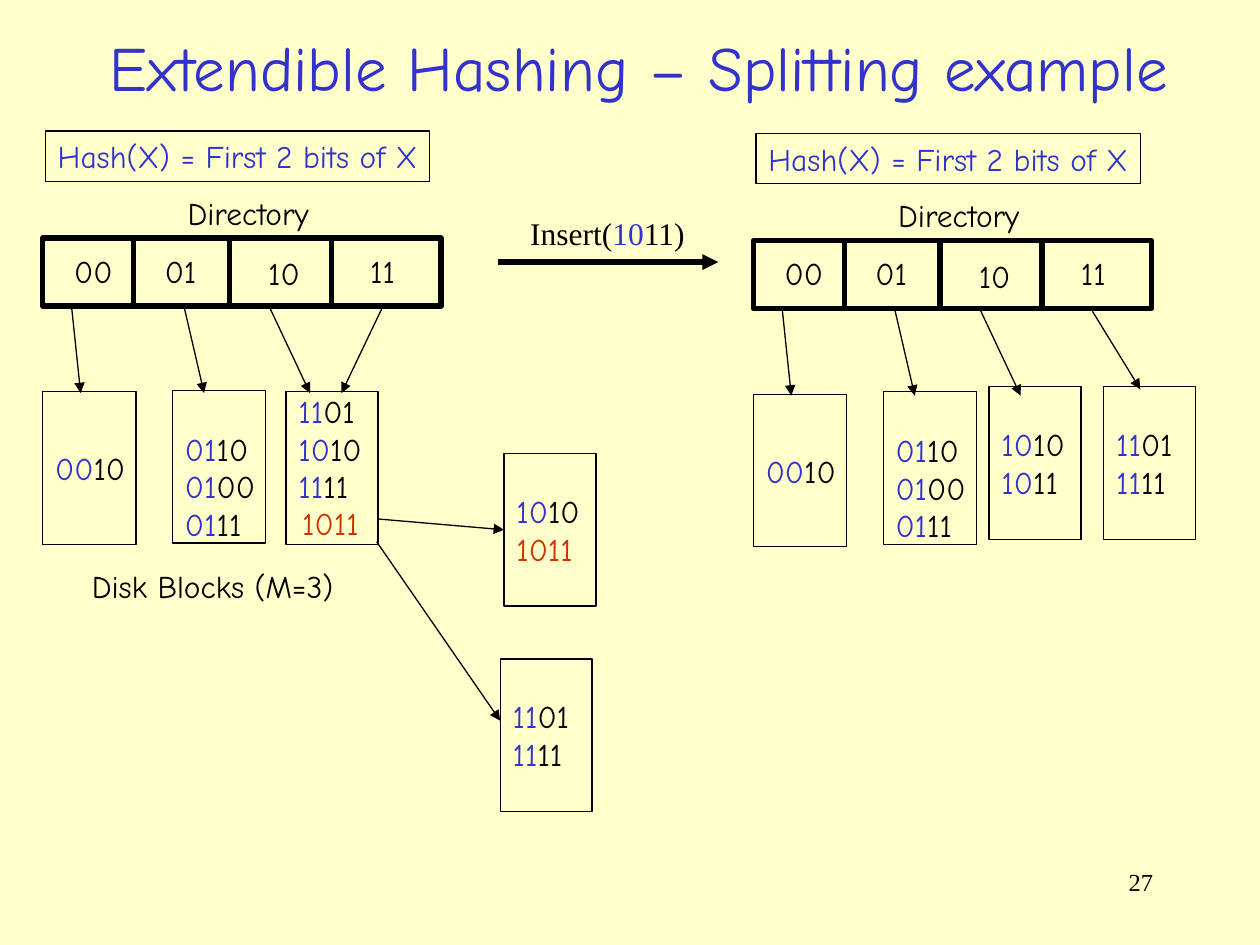
"""Build the extendible hashing slide that shows a bucket split."""
from dataclasses import dataclass

from lxml import etree
from pptx import Presentation
from pptx import util as u
from pptx.dml.color import RGBColor
from pptx.enum import shapes, text
from pptx.oxml import ns


@dataclass(frozen=True)
class Theme:
    paper: RGBColor = RGBColor(0xFF, 0xFF, 0xCC)
    ink: RGBColor = RGBColor(0, 0, 0)
    blue: RGBColor = RGBColor(0x33, 0x33, 0xCC)
    red: RGBColor = RGBColor(0xCC, 0x33, 0x00)
    hand: str = "Comic Neue"
    serif: str = "Times New Roman"
    title: int = 36
    body: int = 18
    page: int = 14
    thin: float = 0.75
    thick: float = 3


theme = Theme()
prs = Presentation()
prs.slide_width, prs.slide_height = u.Inches(10), u.Inches(7.5)
s = prs.slides.add_slide(prs.slide_layouts[6])
s.background.fill.solid()
s.background.fill.fore_color.rgb = theme.paper


def add_text(box, lines, border=0, size=theme.body, font=theme.hand,
             align=text.PP_ALIGN.LEFT, anchor=text.MSO_ANCHOR.TOP, wrap=False):
    """Add a text box, or a bordered rectangle, with lines of (text, colour) runs."""
    area = [u.Inches(v) for v in box]
    if border:
        sp = s.shapes.add_shape(shapes.MSO_SHAPE.RECTANGLE, *area)
        sp.shadow.inherit = False
        sp.fill.background()
        sp.line.color.rgb = theme.ink
        sp.line.width = u.Pt(border)
    else:
        sp = s.shapes.add_textbox(*area)
    tf = sp.text_frame
    tf.word_wrap = wrap
    tf.vertical_anchor = anchor
    for i, line in enumerate(lines):
        p = tf.paragraphs[0] if i == 0 else tf.add_paragraph()
        p.alignment = align
        p.font.name, p.font.size = font, u.Pt(size)
        for words, color in line:
            r = p.add_run()
            r.text = words
            r.font.color.rgb = color
    return sp


def add_line(start, end, width=theme.thin, arrow=True):
    """Add a straight line, with an arrowhead at its end unless told otherwise."""
    c = s.shapes.add_connector(shapes.MSO_CONNECTOR.STRAIGHT,
                               *[u.Inches(v) for v in (*start, *end)])
    c.line.color.rgb = theme.ink
    c.line.width = u.Pt(width)
    if arrow:
        etree.SubElement(c.line._get_or_add_ln(), ns.qn("a:tailEnd"), type="triangle")
    etree.SubElement(c._element.spPr, ns.qn("a:effectLst"))
    return c


add_text((0.3, 0.15, 9.54, 0.76), [[("Extendible Hashing – Splitting example", theme.blue)]],
         size=theme.title, align=text.PP_ALIGN.CENTER,
         anchor=text.MSO_ANCHOR.MIDDLE, wrap=True)
add_text((7.17, 6.83, 2.08, 0.5), [[("27", theme.ink)]], size=theme.page,
         font=theme.serif, align=text.PP_ALIGN.RIGHT, wrap=True)

for dx, dy in ((0, 0), (5.64, 0.02)):
    add_text((0.36 + dx, 1.04 + dy, 3.05, 0.4),
             [[("Hash(X) = First 2 bits of X", theme.blue)]], border=theme.thin)
    add_text((1.39 + dx, 1.49 + dy, 1.17, 0.4), [[("Directory", theme.ink)]])
    add_text((0.34 + dx, 1.89 + dy, 3.16, 0.54), [], border=theme.thick)
    for x, top, bottom in ((1.06, 1.89, 2.45), (1.82, 1.89, 2.45), (2.63, 1.91, 2.43)):
        add_line((x + dx, top + dy), (x + dx, bottom + dy), theme.thick, arrow=False)
    for key, x, y in (("00", 0.49, 1.95), ("01", 1.21, 1.95),
                      ("10", 2.03, 1.97), ("11", 2.84, 1.95)):
        sp = add_text((x + dx, y + dy, 0.5, 0.4), [[(key, theme.ink)]])
        sp.text_frame.margin_right = 0
    for x1, y1, x2 in ((0.57, 2.45, 0.64), (1.46, 2.43, 1.62), (2.14, 2.44, 2.46)):
        add_line((x1 + dx, y1 + dy), (x2 + dx, 3.12 + dy))

add_line((3.03, 2.45), (2.71, 3.12))
add_line((8.67, 2.47), (9.05, 3.09))

middle, top, bottom = text.MSO_ANCHOR.MIDDLE, text.MSO_ANCHOR.TOP, text.MSO_ANCHOR.BOTTOM
blocks = {}
for name, x, y, w, keys, anchor in (
    ("before 00", 0.34, 3.11, 0.74, "0010", middle),
    ("before 01", 1.37, 3.1, 0.74, "0110 0100 0111", bottom),
    ("before 1x", 2.27, 3.11, 0.73, "1101 1010 1111", top),
    ("split 10", 4, 3.6, 0.73, "1010 1011", middle),
    ("split 11", 3.97, 5.23, 0.73, "1101 1111", middle),
    ("after 00", 5.98, 3.13, 0.74, "0010", middle),
    ("after 01", 7.01, 3.11, 0.74, "0110 0100 0111", bottom),
    ("after 10", 7.85, 3.07, 0.73, "1010 1011", middle),
    ("after 11", 8.76, 3.07, 0.73, "1101 1111", middle),
):
    lines = [[(key, theme.red)] if (name, key) == ("split 10", "1011")
             else [(key[:2], theme.blue), (key[2:], theme.ink)] for key in keys.split()]
    sp = add_text((x, y, w, 1.21), lines, border=theme.thin, anchor=anchor)
    if anchor != middle:
        sp.text_frame.margin_top = sp.text_frame.margin_bottom = 0
    blocks[name] = sp

add_text((2.3, 3.95, 0.65, 0.4), [[("1011", theme.red)]])
add_text((0.63, 4.45, 2.12, 0.4), [[("Disk Blocks (M=3)", theme.ink)]])

add_line((3.01, 4.12), (4, 4.21)).end_connect(blocks["split 10"], 1)
add_line((2.99, 4.3), (3.97, 5.72))
add_line((3.95, 2.08), (5.7, 2.08), theme.thick)
add_text((4.11, 1.65, 1.43, 0.4),
         [[("Insert(", theme.ink), ("10", theme.blue), ("11)", theme.ink)]], font=theme.serif)

prs.save("out.pptx")
